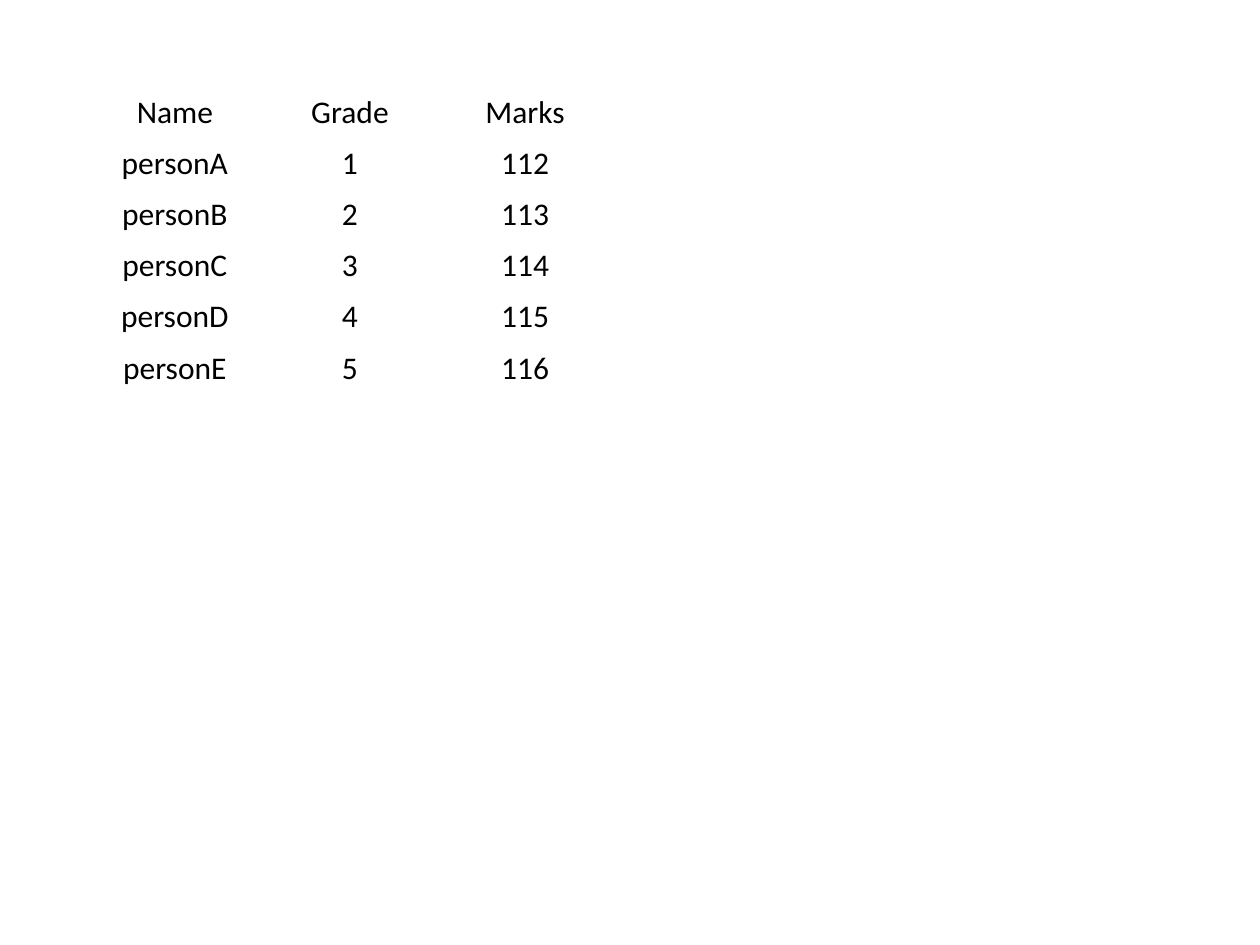
from pptx import Presentation, util as u
from pptx.dml.color import RGBColor
from pptx.enum import text

# Content
HEADER = ("Name", "Grade", "Marks")
MARKS = [
    ("personA", 1, 112),
    ("personB", 2, 113),
    ("personC", 3, 114),
    ("personD", 4, 115),
    ("personE", 5, 116),
]
ROWS = [HEADER, *MARKS]

# Layout in centimetres
LEFT = TOP = 1.76
FRAME_W, FRAME_H = 15.88, 10.58
COL_W = 3.53
HEADER_H, ROW_H = 0.88, 0.71


def color(value):
    return RGBColor.from_string(value)


def fill_cell(cell, value):
    cell.fill.solid()
    cell.fill.fore_color.rgb = color("FFFFFF")
    p = cell.text_frame.paragraphs[0]
    p.alignment = text.PP_ALIGN.CENTER
    r = p.add_run()
    r.text = str(value)
    r.font.name = "Calibri"
    r.font.size = u.Pt(18)
    r.font.color.rgb = color("000000")


prs = Presentation()
prs.slide_width, prs.slide_height = u.Cm(25.4), u.Cm(19.05)
s = prs.slides.add_slide(prs.slide_layouts[6])

# Marks table
frame = s.shapes.add_table(len(ROWS), len(HEADER), u.Cm(LEFT), u.Cm(TOP),
                           u.Cm(FRAME_W), u.Cm(FRAME_H))
table = frame.table
table.first_row = table.horz_banding = False

for col in table.columns:
    col.width = u.Cm(COL_W)
for i, values in enumerate(ROWS):
    table.rows[i].height = u.Cm(ROW_H if i else HEADER_H)
    for j, value in enumerate(values):
        fill_cell(table.cell(i, j), value)

# The frame is larger than the rows and columns it holds
frame.width, frame.height = u.Cm(FRAME_W), u.Cm(FRAME_H)

# Plain table style without grid lines
style = table._tbl.tblPr.find("{*}tableStyleId")
style.text = "{2D5ABB26-0587-4C30-8999-92F81FD0307C}"

prs.save("out.pptx")
